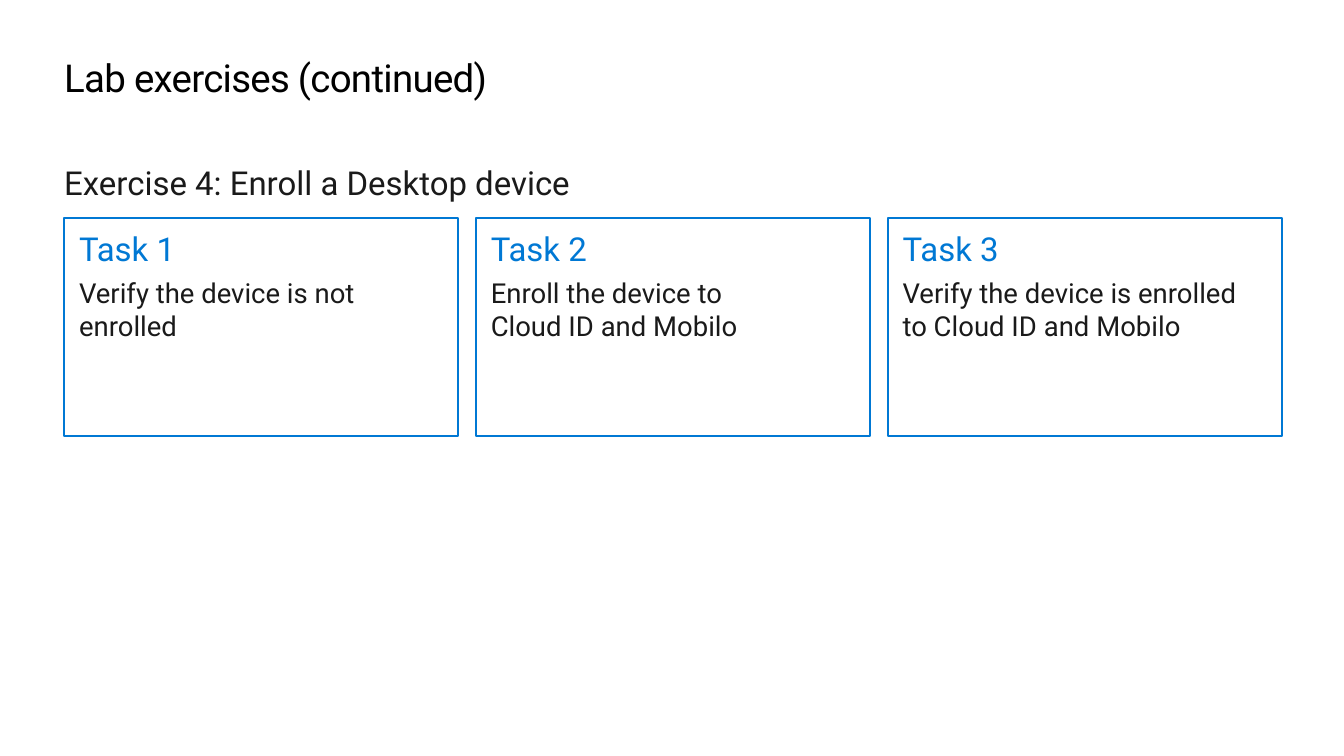
from dataclasses import dataclass

from pptx import Presentation
from pptx.dml.color import RGBColor
from pptx.enum.shapes import MSO_SHAPE
from pptx.enum.text import MSO_ANCHOR, MSO_AUTO_SIZE, PP_ALIGN
from pptx.util import Inches, Pt

RECTANGLE = MSO_SHAPE.RECTANGLE
TOP, MIDDLE = MSO_ANCHOR.TOP, MSO_ANCHOR.MIDDLE
LEFT = PP_ALIGN.LEFT
GROW = MSO_AUTO_SIZE.SHAPE_TO_FIT_TEXT
TITLE_ONLY = 5


@dataclass(frozen=True)
class Theme:
    font: str = "Roboto"
    black: RGBColor = RGBColor(0x00, 0x00, 0x00)
    ink: RGBColor = RGBColor(0x1A, 0x1A, 0x1A)
    accent: RGBColor = RGBColor(0x00, 0x78, 0xD4)
    title_size: int = 28
    heading_size: int = 24
    body_size: int = 20
    outline: float = 1.5


@dataclass(frozen=True)
class Grid:
    """Equal columns with a fixed gap, in inches."""
    left: float = 0.65
    width: float = 12.32
    columns: int = 3
    gap: float = 0.18

    @property
    def column_width(self):
        return (self.width - self.gap * (self.columns - 1)) / self.columns

    def column_left(self, column):
        return self.left + column * (self.column_width + self.gap)


class SlideBuilder:
    def __init__(self, slide, theme, grid):
        self.slide = slide
        self.theme = theme
        self.grid = grid

    def prepare_frame(self, shape, anchor, side=0, end=0):
        frame = shape.text_frame
        frame.margin_left = frame.margin_right = Inches(side)
        frame.margin_top = frame.margin_bottom = Inches(end)
        frame.vertical_anchor = anchor
        frame.word_wrap = True
        return frame

    def add_text(self, paragraph, text, size, color, space_after=0):
        """Add text run by run, with a line break at each newline."""
        paragraph.alignment = LEFT
        paragraph.space_after = Pt(space_after)
        for index, line in enumerate(text.split("\n")):
            if index:
                paragraph.add_line_break()
            run = paragraph.add_run()
            run.text = line
            run.font.name = self.theme.font
            run.font.size = Pt(size)
            run.font.color.rgb = color

    def title(self, text, top, height):
        shape = self.slide.shapes.title
        shape.left, shape.top = Inches(self.grid.left), Inches(top)
        shape.width, shape.height = Inches(self.grid.width), Inches(height)
        frame = self.prepare_frame(shape, TOP)
        frame.auto_size = GROW
        paragraph = frame.paragraphs[0]
        self.add_text(paragraph, text, self.theme.title_size, self.theme.black)
        paragraph.runs[0].font._element.set("spc", "-50")

    def heading(self, text, top, width, height):
        shape = self.slide.shapes.add_textbox(
            Inches(self.grid.left), Inches(top), Inches(width), Inches(height))
        frame = self.prepare_frame(shape, MIDDLE)
        frame.word_wrap = False
        frame.auto_size = GROW
        self.add_text(frame.paragraphs[0], text, self.theme.heading_size, self.theme.ink)

    def task_card(self, column, top, height, label, description):
        shape = self.slide.shapes.add_shape(
            RECTANGLE, Inches(self.grid.column_left(column)), Inches(top),
            Inches(self.grid.column_width), Inches(height))
        shape.shadow.inherit = False
        shape.fill.background()
        shape.line.color.rgb = self.theme.accent
        shape.line.width = Pt(self.theme.outline)
        frame = self.prepare_frame(shape, TOP, side=0.15, end=0.1)
        self.add_text(frame.paragraphs[0], label, self.theme.heading_size,
                      self.theme.accent, space_after=6)
        self.add_text(frame.add_paragraph(), description, self.theme.body_size,
                      self.theme.ink, space_after=12)


def main():
    presentation = Presentation()
    presentation.slide_width = Inches(13.6)
    presentation.slide_height = Inches(7.65)
    slide = presentation.slides.add_slide(presentation.slide_layouts[TITLE_ONLY])

    builder = SlideBuilder(slide, Theme(), Grid())
    builder.title("Lab exercises (continued)", top=0.55, height=0.48)
    builder.heading("Exercise 4: Enroll a Desktop device", top=1.65, width=5.38, height=0.4)

    tasks = [
        "Verify the device is not enrolled",
        "Enroll the device to\nCloud ID and Mobilo",
        "Verify the device is enrolled to Cloud ID and Mobilo",
    ]
    for column, description in enumerate(tasks):
        builder.task_card(column, 2.21, 2.2, f"Task {column + 1}", description)

    presentation.save("out.pptx")


if __name__ == "__main__":
    main()
